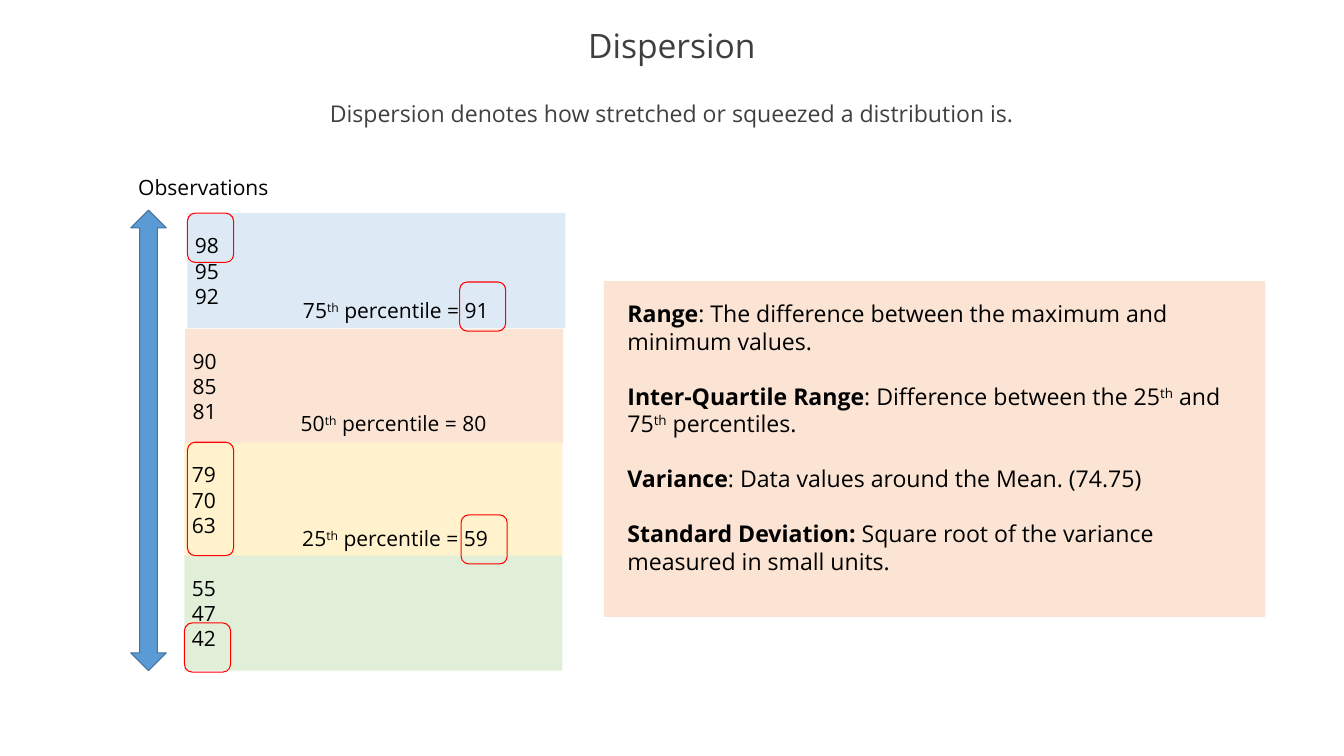
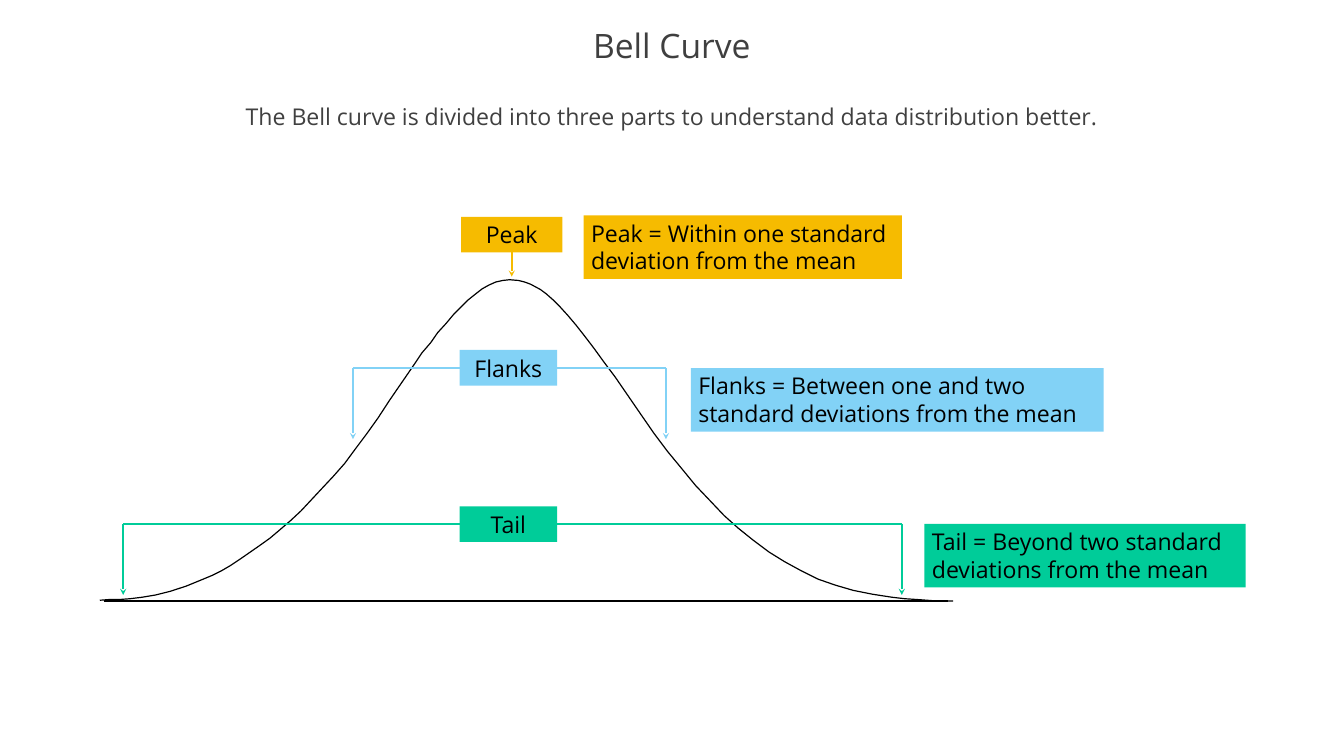
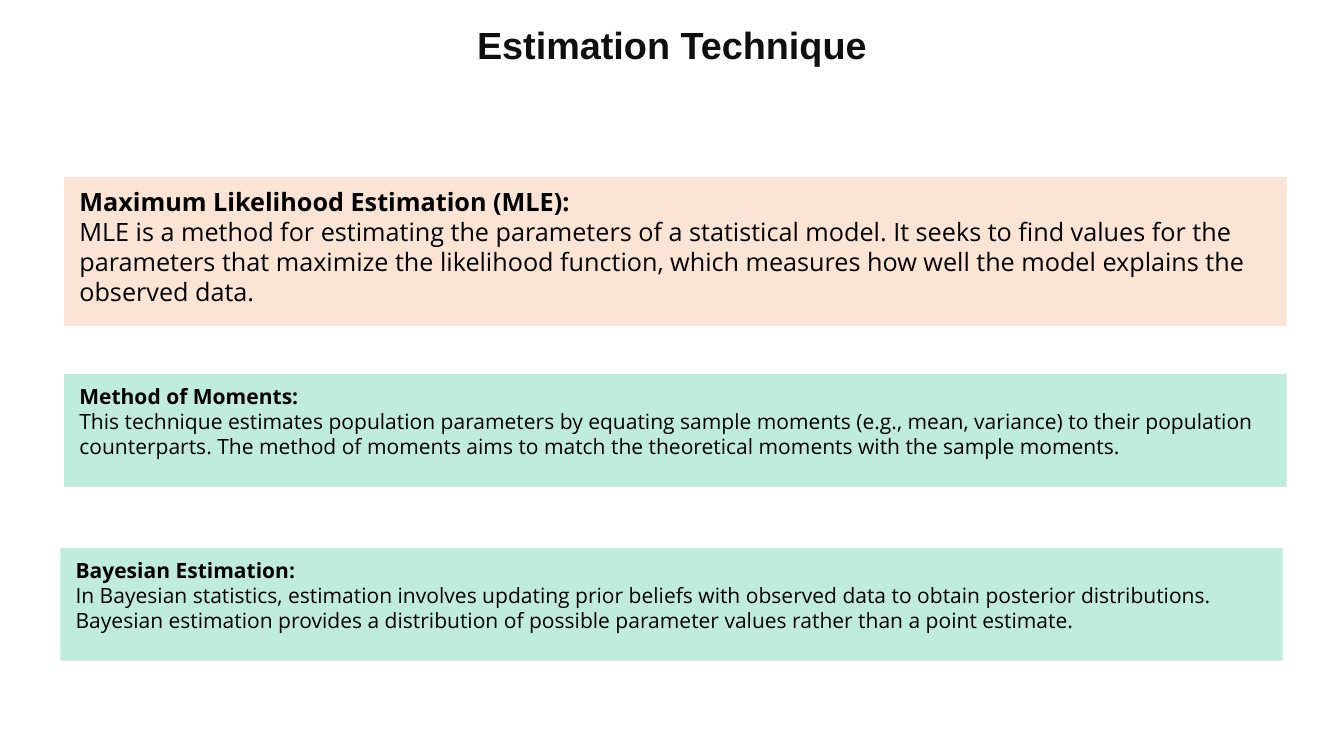
from lxml import etree
from pptx import Presentation
from pptx import util as u
from pptx.dml.color import RGBColor
from pptx.enum import shapes, text
from pptx.oxml.ns import qn

PX = 9144  # 100 px to the inch
FONT = "Open Sans"
BLACK = RGBColor(0x00, 0x00, 0x00)
TITLE_GREY = RGBColor(0x3F, 0x3F, 0x3F)
TEXT_GREY = RGBColor(0x40, 0x40, 0x40)
NEAR_BLACK = RGBColor(0x0F, 0x0F, 0x0F)
PALE_BLUE = RGBColor(0xDD, 0xEA, 0xF6)
PEACH = RGBColor(0xFB, 0xE4, 0xD4)
CREAM = RGBColor(0xFF, 0xF2, 0xCC)
PALE_GREEN = RGBColor(0xE1, 0xEF, 0xD8)
MINT = RGBColor(0xC0, 0xEC, 0xDE)
RED = RGBColor(0xFF, 0x00, 0x00)
BLUE = RGBColor(0x5B, 0x9B, 0xD5)
DARK_BLUE = RGBColor(0x42, 0x71, 0x9B)
YELLOW = RGBColor(0xF6, 0xBB, 0x00)
SKY = RGBColor(0x82, 0xD2, 0xF6)
GREEN = RGBColor(0x00, 0xCC, 0x99)

LEFT, CENTER = text.PP_ALIGN.LEFT, text.PP_ALIGN.CENTER
TOP, MIDDLE = text.MSO_ANCHOR.TOP, text.MSO_ANCHOR.MIDDLE
RECT = shapes.MSO_SHAPE.RECTANGLE
ROUND = shapes.MSO_SHAPE.ROUNDED_RECTANGLE
INSETS = (10, 5, 10, 5)
CARD_INSETS = (20, 12, 20, 12)

# Bell outline, left foot to right foot
BELL = [
    (132, 794), (145, 793), (158, 793), (172, 792), (188, 790), (206, 787),
    (226, 782), (247, 775), (269, 766), (281, 761), (293, 755), (305, 748),
    (317, 740), (330, 731), (343, 722), (357, 712), (370, 701), (384, 689),
    (398, 676), (412, 661), (426, 646), (441, 630), (456, 613), (470, 594),
    (485, 574), (500, 553), (515, 530), (526, 514), (537, 498), (548, 482),
    (558, 467), (570, 453), (579, 440), (590, 428), (600, 416), (610, 406),
    (619, 397), (629, 389), (638, 382), (647, 377), (656, 373), (665, 371),
    (674, 370), (686, 371), (694, 373), (702, 376), (715, 383), (723, 389),
    (732, 397), (741, 406), (751, 417), (762, 430), (773, 444), (786, 461),
    (799, 479), (814, 499), (847, 547), (865, 573), (883, 597), (902, 620),
    (920, 642), (939, 662), (958, 682), (977, 699), (997, 715), (1017, 730),
    (1038, 743), (1060, 755), (1082, 766), (1105, 774), (1129, 781),
    (1154, 786), (1180, 790), (1197, 792), (1213, 793), (1240, 795), (1261, 795),
]


def px(*lengths):
    return [n * PX for n in lengths]


def write(sp, paragraphs, size, color=BLACK, align=LEFT, anchor=TOP,
          insets=INSETS, gap=0):
    """Each paragraph is a string or a list of (text, style) runs."""
    tf = sp.text_frame
    tf.word_wrap = True
    tf.auto_size = text.MSO_AUTO_SIZE.NONE
    tf.vertical_anchor = anchor
    tf.margin_left, tf.margin_top, tf.margin_right, tf.margin_bottom = px(*insets)
    for i, runs in enumerate(paragraphs):
        p = tf.paragraphs[0] if i == 0 else tf.add_paragraph()
        p.alignment = align
        if gap and i:
            p.space_before = u.Pt(gap)
        for words, style in [(runs, "")] if isinstance(runs, str) else runs:
            r = p.add_run()
            r.text = words
            r.font.name, r.font.size = FONT, u.Pt(size)
            r.font.color.rgb = color
            r.font.bold = style == "bold"
            if style == "super":
                r._r.get_or_add_rPr().set("baseline", "30000")


def add_title(prs, words, size=32, color=TITLE_GREY, font=FONT, bold=False):
    s = prs.slides.add_slide(prs.slide_layouts[5])
    sp = s.shapes.title
    sp.left, sp.top, sp.width, sp.height = px(0, 25, 1778, 75)
    write(sp, [words], size, color, CENTER, MIDDLE)
    p = sp.text_frame.paragraphs[0]
    p.line_spacing = 0.9
    p.runs[0].font.name, p.runs[0].font.bold = font, bold
    return s


def add_text(s, box, paragraphs, size, **style):
    write(s.shapes.add_textbox(*px(*box)), paragraphs, size, **style)


def add_box(s, box, fill=None, line=None, kind=RECT):
    sp = s.shapes.add_shape(kind, *px(*box))
    sp.shadow.inherit = False
    if fill is None:
        sp.fill.background()
    else:
        sp.fill.solid()
        sp.fill.fore_color.rgb = fill
    if line is None:
        sp.line.fill.background()
    else:
        sp.line.color.rgb = line
        sp.line.width = u.Pt(1)
    return sp


def add_line(s, start, end, color, width=2, arrow=False):
    c = s.shapes.add_connector(shapes.MSO_CONNECTOR.STRAIGHT, *px(*start, *end))
    c.line.color.rgb = color
    c.line.width = u.Pt(width)
    if arrow:
        etree.SubElement(c.line._get_or_add_ln(), qn("a:tailEnd"), type="stealth")
    etree.SubElement(c.element.spPr, qn("a:effectLst"))
    return c


def add_bracket(s, left, right, y, color):
    add_line(s, (left, y), (right, y), color)
    for x in (left, right):
        add_line(s, (x, y), (x, y + 94), color, arrow=True)


def add_label(s, box, words, color):
    sp = add_box(s, box, color)
    write(sp, [words], 22, align=CENTER, anchor=MIDDLE)
    return sp


def dispersion(prs):
    s = add_title(prs, "Dispersion")
    add_text(s, (97, 126, 1583, 122),
             ["Dispersion denotes how stretched or squeezed a distribution is."],
             22, color=TEXT_GREY, align=CENTER)

    # Quarters of the observations
    for left, top, fill, values in (
            (248, 282, PALE_BLUE, ["98", "95", "92"]),
            (245, 435, PEACH, ["90", "85", "81"]),
            (244, 585, CREAM, ["79", "70", "63"]),
            (244, 735, PALE_GREEN, ["55", "47", "42"])):
        write(add_box(s, (left, top, 500, 152), fill), values, 20, anchor=MIDDLE)
    for left, top, rank, value in (
            (391, 389, 75, 91), (388, 538, 50, 80), (390, 690, 25, 59)):
        add_text(s, (left, top, 311, 44),
                 [[(str(rank), ""), ("th", "super"), (f" percentile = {value}", "")]], 20)
    add_text(s, (173, 226, 194, 44), ["Observations"], 20)

    # Highlighted values
    for left, top, height in ((248, 282, 65), (244, 824, 65), (608, 373, 65),
                              (610, 681, 65), (248, 585, 150)):
        add_box(s, (left, top, 61, height), line=RED, kind=ROUND)
    add_box(s, (173, 278, 47, 609), BLUE, DARK_BLUE, shapes.MSO_SHAPE.UP_DOWN_ARROW)

    # Definitions
    write(add_box(s, (799, 372, 875, 444), PEACH), [
        [("Range", "bold"),
         (": The difference between the maximum and minimum values.", "")],
        [("Inter-Quartile Range", "bold"), (": Difference between the 25", ""),
         ("th", "super"), (" and 75", ""), ("th", "super"), (" percentiles.", "")],
        [("Variance", "bold"), (": Data values around the Mean. (74.75)", "")],
        [("Standard Deviation: ", "bold"),
         ("Square root of the variance measured in small units.", "")],
    ], 22, insets=(31, 24, 8, 20), gap=26)


def bell_curve(prs):
    s = add_title(prs, "Bell Curve")
    add_text(s, (83, 131, 1611, 122),
             ["The Bell curve is divided into three parts to understand data "
              "distribution better."], 22, color=TEXT_GREY, align=CENTER)

    # Explanations
    for box, color, words in (
            ((772, 285, 421, 84), YELLOW,
             "Peak = Within one standard deviation from the mean"),
            ((914, 487, 546, 84), SKY,
             "Flanks = Between one and two standard deviations from the mean"),
            ((1223, 693, 425, 84), GREEN,
             "Tail = Beyond two standard deviations from the mean")):
        write(add_box(s, box, color), [words], 22)

    # Curve and base line
    fb = s.shapes.build_freeform(*BELL[0], scale=PX)
    fb.add_line_segments(BELL[1:], close=False)
    curve = fb.convert_to_shape()
    curve.shadow.inherit = False
    curve.fill.background()
    curve.line.color.rgb = BLACK
    curve.line.width = u.Pt(1.12)
    add_line(s, (138, 795), (1254, 795), BLACK, 1.62)

    # Parts of the curve
    add_bracket(s, 467, 881, 487, SKY)
    add_label(s, (608, 463, 129, 47), "Flanks", SKY)
    add_bracket(s, 163, 1193, 693, GREEN)
    add_label(s, (608, 670, 129, 47), "Tail", GREEN)
    peak = add_label(s, (610, 287, 134, 47), "Peak", YELLOW)
    add_line(s, (677, 334), (677, 366), YELLOW, arrow=True).begin_connect(peak, 2)


def estimation(prs):
    s = add_title(prs, "Estimation Technique", 36, NEAR_BLACK, "Arial", True)
    for left, top, height, fill, size, heading, body in (
            (85, 234, 197, PEACH, 24, "Maximum Likelihood Estimation (MLE):",
             "MLE is a method for estimating the parameters of a statistical model. "
             "It seeks to find values for the parameters that maximize the likelihood "
             "function, which measures how well the model explains the observed data."),
            (85, 495, 149, MINT, 20, "Method of Moments:",
             "This technique estimates population parameters by equating sample "
             "moments (e.g., mean, variance) to their population counterparts. The "
             "method of moments aims to match the theoretical moments with the "
             "sample moments."),
            (80, 725, 149, MINT, 20, "Bayesian Estimation:",
             "In Bayesian statistics, estimation involves updating prior beliefs with "
             "observed data to obtain posterior distributions. Bayesian estimation "
             "provides a distribution of possible parameter values rather than a "
             "point estimate.")):
        write(add_box(s, (left, top, 1617, height), fill),
              [[(heading, "bold")], body], size, insets=CARD_INSETS)


def main():
    prs = Presentation()
    prs.slide_width, prs.slide_height = px(1778, 1000)
    dispersion(prs)
    bell_curve(prs)
    estimation(prs)
    prs.save("out.pptx")


if __name__ == "__main__":
    main()
